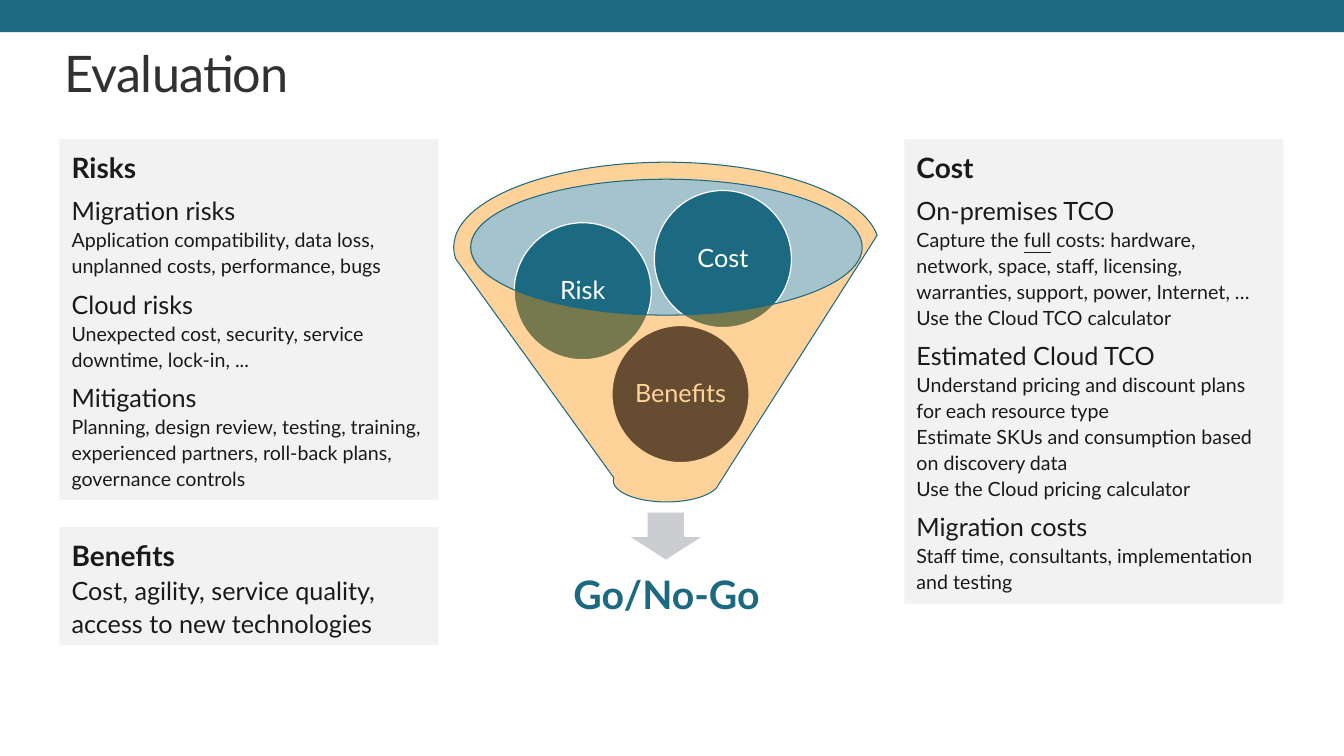
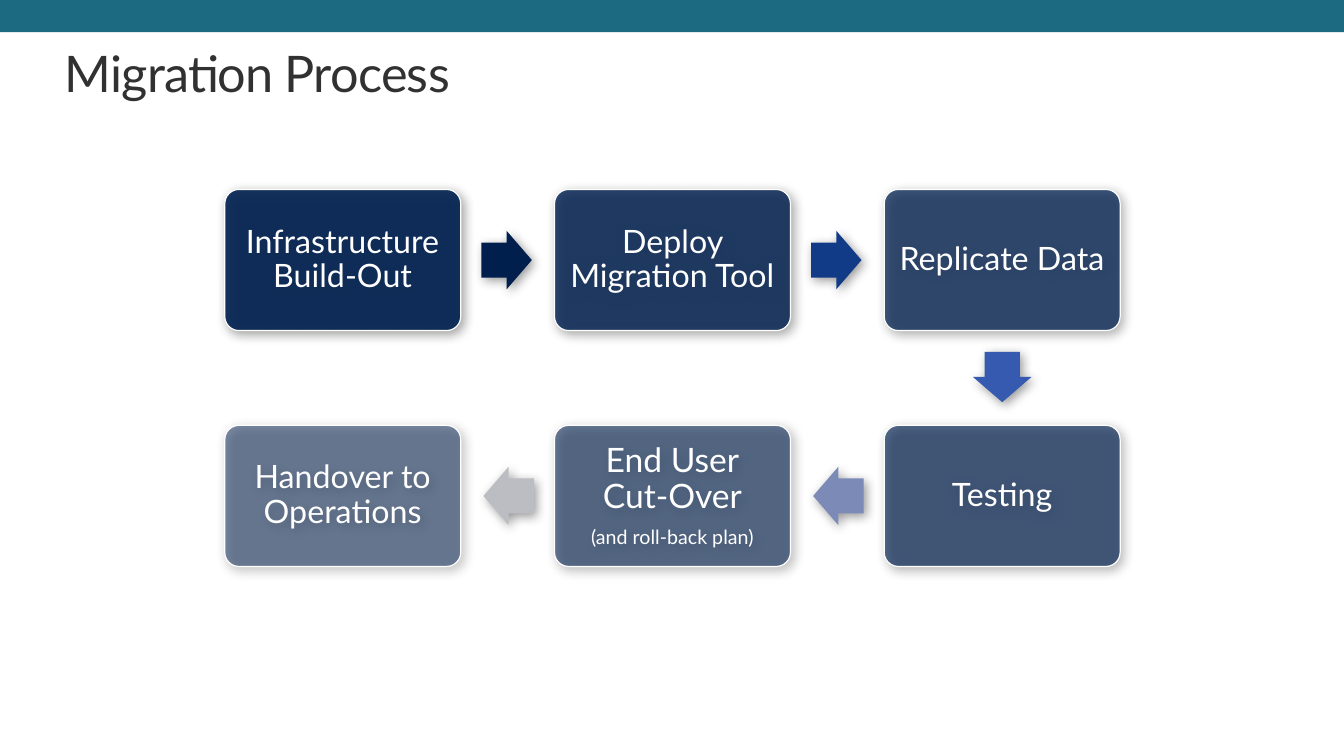
import pptx
import pptx.dml.color
import pptx.enum.shapes
import pptx.enum.text
import pptx.oxml
import pptx.oxml.ns
import pptx.util
import lxml.etree

RGBColor = pptx.dml.color.RGBColor
MSO_SHAPE = pptx.enum.shapes.MSO_SHAPE
ANCHOR = pptx.enum.text.MSO_ANCHOR
ALIGN = pptx.enum.text.PP_ALIGN
FIT = pptx.enum.text.MSO_AUTO_SIZE
Inches, Pt, qn = pptx.util.Inches, pptx.util.Pt, pptx.oxml.ns.qn

TEAL = RGBColor(0x1C, 0x69, 0x82)
NAVY = RGBColor(0x00, 0x20, 0x50)
ORANGE = RGBColor(0xFF, 0x90, 0x00)
PANEL = RGBColor(0xF2, 0xF2, 0xF2)
INK = RGBColor(0x1A, 0x1A, 0x1A)
TITLE_INK = RGBColor(0x31, 0x31, 0x31)
SILVER = RGBColor(0xCC, 0xCD, 0xD0)
WHITE = RGBColor(0xFF, 0xFF, 0xFF)
FONT = "Lato"
WIDTH, HEIGHT = 13.33, 7.5

STYLES = {
    "head": dict(size=20, bold=True),
    "topic": dict(size=18, before=6),
    "lead": dict(size=18),
    "detail": dict(size=14),
}
PANELS = [
    ((8.97, 1.38, 3.76, 4.61), [
        ("head", "Cost"),
        ("topic", "On-premises TCO"),
        ("detail", "Capture the _full_ costs: hardware, network, space, staff, "
                   "licensing, warranties, support, power, Internet, …"),
        ("detail", "Use the Cloud TCO calculator"),
        ("topic", "Estimated Cloud TCO"),
        ("detail", "Understand pricing and discount plans for each resource type"),
        ("detail", "Estimate SKUs and consumption based on discovery data"),
        ("detail", "Use the Cloud pricing calculator"),
        ("topic", "Migration costs"),
        ("detail", "Staff time, consultants, implementation and testing"),
    ]),
    ((0.59, 5.23, 3.76, 1.17), [
        ("head", "Benefits"),
        ("lead", "Cost, agility, service quality, access to new technologies"),
    ]),
    ((0.59, 1.38, 3.76, 3.58), [
        ("head", "Risks"),
        ("topic", "Migration risks"),
        ("detail", "Application compatibility, data loss, unplanned costs, "
                   "performance, bugs"),
        ("topic", "Cloud risks"),
        ("detail", "Unexpected cost, security, service downtime, lock-in, ..."),
        ("topic", "Mitigations"),
        ("detail", "Planning, design review, testing, training, experienced "
                   "partners, roll-back plans, governance controls"),
    ]),
]
BALL = 1.36
BALLS = [("Benefits", 6.07, 3.23, NAVY), ("Risk", 5.1, 2.21, TEAL),
         ("Cost", 6.49, 1.89, TEAL)]

STEPS = [
    (0, 0, [("Infrastructure Build-Out", 23)]),
    (1, 0, [("Deploy Migration Tool", 23)]),
    (2, 0, [("Replicate Data", 23)]),
    (2, 1, [("Testing", 23)]),
    (1, 1, [("End User\nCut-Over", 24), ("(and roll-back plan)", 14)]),
    (0, 1, [("Handover to Operations", 23)]),
]
ARROW_COLORS = [RGBColor.from_string(c) for c in
                ("001F4C", "123B87", "365AAF", "7B8AB6", "BCBDC2")]
GRID_LEFT, GRID_TOP, COL, ROW = 2.23, 1.88, 3.27, 2.34
CARD_W, CARD_H = 2.34, 1.4
ARROW_W, ARROW_H, ARROW_BACK = 0.5, 0.58, 0.01


def add_text(tf, text, size=18, color=WHITE, bold=False, align=ALIGN.CENTER,
             spacing=0.9, before=0, after=0):
    first = tf.paragraphs[0]
    p = tf.add_paragraph() if first.runs else first
    p.alignment, p.line_spacing = align, spacing
    p.space_before, p.space_after = Pt(before), Pt(after)
    for i, part in enumerate(text.split("_")):
        for j, line in enumerate(part.split("\n")):
            if j:
                p.add_line_break()
            r = p.add_run()
            r.text = line
            r.font.name, r.font.size, r.font.bold = FONT, Pt(size), bold
            r.font.color.rgb = color
            if i % 2:
                r.font.underline = True


def set_frame(sp, inset_x, inset_y, anchor=ANCHOR.MIDDLE):
    tf = sp.text_frame
    tf.word_wrap = True
    tf.vertical_anchor = anchor
    tf.margin_left = tf.margin_right = Inches(inset_x)
    tf.margin_top = tf.margin_bottom = Inches(inset_y)
    return tf


def add_shape(slide, kind, at, fill, alpha=None, line=None, weight=0.85,
              shadow=False):
    sp = slide.shapes.add_shape(kind, *map(Inches, at))
    sp.shadow.inherit = False
    sp.fill.solid()
    sp.fill.fore_color.rgb = fill
    if alpha is not None:
        clr = sp.element.spPr.find(qn("a:solidFill"))[0]
        lxml.etree.SubElement(clr, qn("a:alpha"), val=str(alpha * 1000))
    if line is None:
        sp.line.fill.background()
    else:
        sp.line.color.rgb = line
        sp.line.width = Pt(weight)
    if shadow:
        outer = lxml.etree.SubElement(
            sp.element.spPr.find(qn("a:effectLst")), qn("a:outerShdw"),
            blurRad=str(Pt(8)), dist=str(Pt(3)), dir=str(45 * 60000),
            algn="tl", rotWithShape="0")
        clr = lxml.etree.SubElement(outer, qn("a:srgbClr"), val="000000")
        lxml.etree.SubElement(clr, qn("a:alpha"), val="40000")
    return sp


def style_master(prs, layout):
    master = prs.slide_master
    for holder in (master, layout):
        title = next(s for s in holder.placeholders
                     if s.placeholder_format.idx == 0)
        title.left, title.top, title.width, title.height = map(
            Inches, (0.64, 0.42, 12.2, 0.61))
        set_frame(title, 0, 0, ANCHOR.TOP).auto_size = FIT.SHAPE_TO_FIT_TEXT
    level = master.element.find(".//" + qn("p:titleStyle")).find(qn("a:lvl1pPr"))
    level.set("algn", "l")
    level.remove(level.find(qn("a:defRPr")))
    level.append(pptx.oxml.parse_xml(
        '<a:defRPr xmlns:a="http://schemas.openxmlformats.org/drawingml/2006/main"'
        ' sz="3600" spc="-50">'
        f'<a:solidFill><a:srgbClr val="{TITLE_INK}"/></a:solidFill>'
        f'<a:latin typeface="{FONT}"/></a:defRPr>'))


def add_slide(prs, layout, title):
    slide = prs.slides.add_slide(layout)
    slide.shapes.title.text = title
    return slide


def build_evaluation(slide):
    for at, lines in PANELS:
        sp = add_shape(slide, MSO_SHAPE.RECTANGLE, at, PANEL)
        tf = set_frame(sp, 0.12, 0.08, ANCHOR.TOP)
        tf.auto_size = FIT.SHAPE_TO_FIT_TEXT
        for style, text in lines:
            add_text(tf, text, color=INK, align=ALIGN.LEFT, spacing=1.1,
                     **STYLES[style])
    add_shape(slide, MSO_SHAPE.OVAL, (4.66, 1.78, 3.89, 1.35), TEAL, alpha=40)
    add_shape(slide, MSO_SHAPE.DOWN_ARROW, (6.23, 5.08, 0.75, 0.48), SILVER,
              line=WHITE)
    verdict = slide.shapes.add_textbox(*map(Inches, (4.8, 5.47, 3.62, 0.9)))
    add_text(set_frame(verdict, 0.22, 0.22), "Go/No-Go", size=28, color=TEAL,
             bold=True)
    for label, x, y, fill in BALLS:
        ball = add_shape(slide, MSO_SHAPE.OVAL, (x, y, BALL, BALL), fill,
                         line=WHITE)
        tf = set_frame(ball, 0, 0)
        tf.word_wrap = False
        add_text(tf, label)
    add_shape(slide, MSO_SHAPE.FUNNEL, (4.5, 1.61, 4.22, 3.37), ORANGE,
              alpha=40, line=TEAL, weight=0.75)


def build_process(slide):
    for i, (col, row, lines) in enumerate(STEPS):
        x, y = GRID_LEFT + col * COL, GRID_TOP + row * ROW
        card = add_shape(slide, MSO_SHAPE.ROUNDED_RECTANGLE,
                         (x, y, CARD_W, CARD_H), NAVY, alpha=90 - 8 * i,
                         line=WHITE, shadow=True)
        card.adjustments[0] = 0.1
        tf = set_frame(card, 0.1, 0.1)
        for n, (text, size) in enumerate(lines, 1):
            add_text(tf, text, size=size, after=8 if n < len(lines) else 0)
        if i == len(ARROW_COLORS):
            break
        dx, dy = STEPS[i + 1][0] - col, STEPS[i + 1][1] - row
        cx = x + CARD_W / 2 + dx * (COL / 2 - ARROW_BACK)
        cy = y + CARD_H / 2 + dy * (ROW / 2 - ARROW_BACK)
        arrow = add_shape(slide, MSO_SHAPE.RIGHT_ARROW,
                          (cx - ARROW_W / 2, cy - ARROW_H / 2, ARROW_W, ARROW_H),
                          ARROW_COLORS[i], shadow=True)
        arrow.adjustments[0], arrow.adjustments[1] = 0.6, 0.5
        arrow.rotation = {(1, 0): 0, (0, 1): 90, (-1, 0): 180}[dx, dy]


def main():
    prs = pptx.Presentation()
    prs.slide_width, prs.slide_height = Inches(WIDTH), Inches(HEIGHT)
    layout = prs.slide_layouts.get_by_name("Title Only")
    style_master(prs, layout)

    evaluation = add_slide(prs, layout, "Evaluation")
    band = add_shape(evaluation, MSO_SHAPE.RECTANGLE, (0, 0, WIDTH, 0.32), TEAL)
    prs.slide_master.shapes.element.insert(2, band.element)
    build_evaluation(evaluation)

    build_process(add_slide(prs, layout, "Migration Process"))
    prs.save("out.pptx")


if __name__ == "__main__":
    main()
